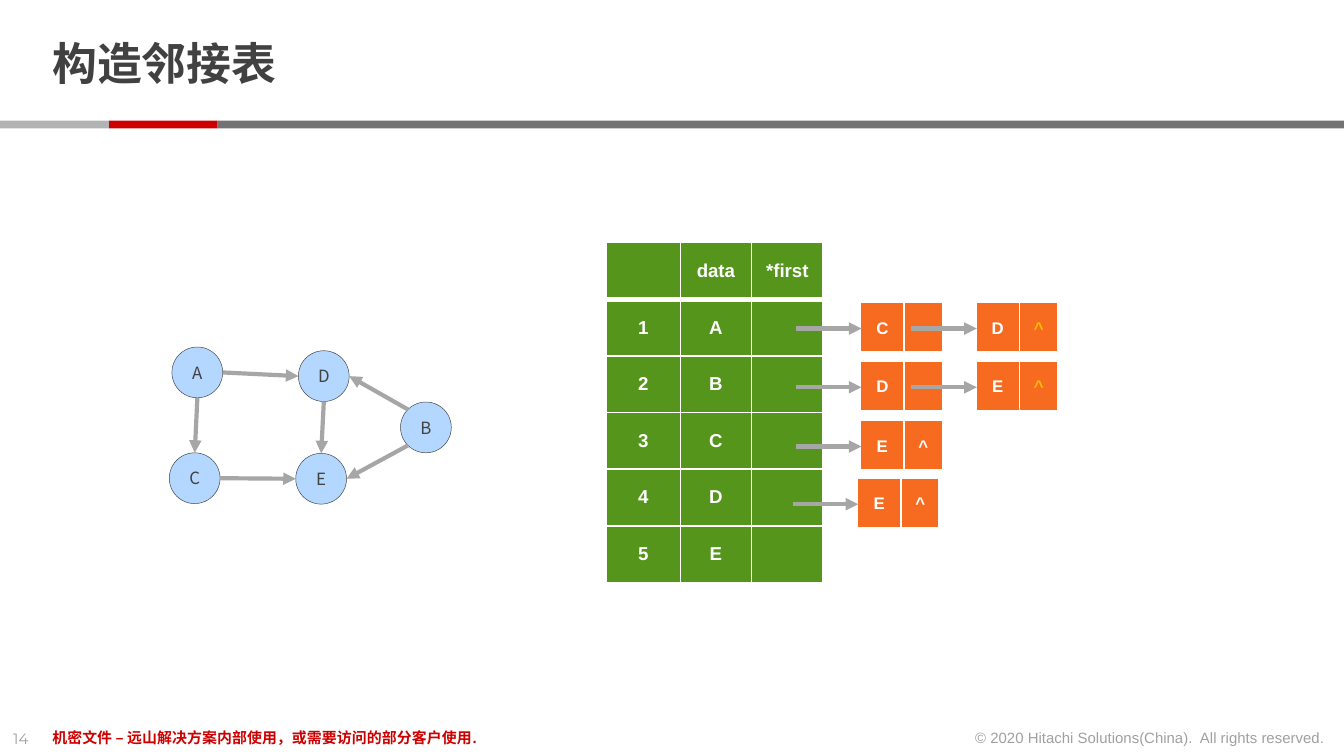
from math import sqrt

from lxml import etree
from pptx import Presentation
from pptx.dml.color import RGBColor
from pptx.enum.shapes import MSO_CONNECTOR, MSO_SHAPE
from pptx.enum.text import MSO_ANCHOR, PP_ALIGN
from pptx.oxml.ns import qn
from pptx.util import Cm, Pt

LEFT, CENTER, RIGHT = PP_ALIGN.LEFT, PP_ALIGN.CENTER, PP_ALIGN.RIGHT
TOP, MIDDLE = MSO_ANCHOR.TOP, MSO_ANCHOR.MIDDLE
RECTANGLE, OVAL = MSO_SHAPE.RECTANGLE, MSO_SHAPE.OVAL
STRAIGHT = MSO_CONNECTOR.STRAIGHT


class Theme:
    ink, muted, white = "414141", "A0A0A0", "FFFFFF"
    dark_bar, red, light_bar = "737373", "CC0000", "B3B3B3"
    green, orange, amber = "55951B", "F66B20", "FFC000"
    node, arrow = "B3D7FF", "A6A6A6"
    title_size, table_size, node_size, footer_size = 24, 10, 9, 8
    heading, body, cjk = "Montserrat", "Arial", "Noto Sans CJK SC"


def add_run(paragraph, text, size, color, font=Theme.body, bold=False):
    run = paragraph.add_run()
    run.text = text
    run.font.size = Pt(size)
    run.font.bold = bold
    run.font.color.rgb = RGBColor.from_string(color)
    run.font.name = font
    east_asian = etree.SubElement(run.font._element, qn("a:ea"))
    east_asian.set("typeface", Theme.cjk)


def add_arrow(x1, y1, x2, y2):
    arrow = slide.shapes.add_connector(STRAIGHT, Cm(x1), Cm(y1), Cm(x2), Cm(y2))
    arrow.line.color.rgb = RGBColor.from_string(Theme.arrow)
    arrow.line.width = Pt(2.25)
    etree.SubElement(arrow.line._get_or_add_ln(), qn("a:tailEnd")).set("type", "triangle")
    etree.SubElement(arrow._element.spPr, qn("a:effectLst"))


prs = Presentation()
prs.slide_width, prs.slide_height = Cm(25.4), Cm(14.29)
slide = prs.slides.add_slide(prs.slide_layouts[6])

# Divider under the title
for left, right, color in [
    (4.11, 25.4, Theme.dark_bar),
    (2.06, 4.11, Theme.red),
    (0, 2.06, Theme.light_bar),
]:
    bar = slide.shapes.add_shape(RECTANGLE, Cm(left), Cm(2.28), Cm(right - left), Cm(0.15))
    bar.shadow.inherit = False
    bar.fill.solid()
    bar.fill.fore_color.rgb = RGBColor.from_string(color)
    bar.line.fill.background()

# Title and footer
for text, x, y, w, h, size, color, font, bold, align, wrap in [
    ("构造邻接表", 0.74, 0.33, 19.58, 1.85,
     Theme.title_size, Theme.ink, Theme.heading, True, LEFT, True),
    ("14", 0, 13.66, 0.86, 0.6,
     Theme.footer_size, Theme.muted, Theme.heading, False, LEFT, False),
    ("机密文件 – 远山解决方案内部使用，或需要访问的部分客户使用.", 0.74, 13.64, 17.12, 0.6,
     Theme.footer_size, Theme.red, Theme.body, True, LEFT, True),
    ("© 2020 Hitachi Solutions(China).\u00a0 All rights reserved.", 18.08, 13.64, 7.21, 0.6,
     Theme.footer_size, Theme.muted, Theme.body, False, RIGHT, False),
]:
    frame = slide.shapes.add_textbox(Cm(x), Cm(y), Cm(w), Cm(h)).text_frame
    frame.word_wrap = wrap
    paragraph = frame.paragraphs[0]
    paragraph.alignment = align
    if size == Theme.title_size:
        frame.vertical_anchor = MIDDLE
        frame.margin_top = frame.margin_bottom = 0
        paragraph.line_spacing = 0.85
    else:
        frame.vertical_anchor = TOP
    add_run(paragraph, text, size, color, font, bold)

# Directed graph
RADIUS = 0.48
centers = {
    "A": (3.73, 7.04),
    "C": (3.68, 9.04),
    "E": (6.07, 9.05),
    "D": (6.12, 7.11),
    "B": (8.05, 8.08),
}
for name, (x, y) in centers.items():
    node = slide.shapes.add_shape(
        OVAL, Cm(x - RADIUS), Cm(y - RADIUS), Cm(2 * RADIUS), Cm(2 * RADIUS))
    node.shadow.inherit = False
    node.fill.solid()
    node.fill.fore_color.rgb = RGBColor.from_string(Theme.node)
    node.line.color.rgb = RGBColor.from_string(Theme.ink)
    node.line.width = Pt(0.25)
    frame = node.text_frame
    frame.margin_left = frame.margin_right = frame.margin_top = frame.margin_bottom = 0
    frame.vertical_anchor = MIDDLE
    frame.paragraphs[0].alignment = CENTER
    add_run(frame.paragraphs[0], name, Theme.node_size, Theme.ink, Theme.cjk)

DIAGONAL = 1 / sqrt(2)
sides = {
    "top": (0, -1), "bottom": (0, 1), "left": (-1, 0), "right": (1, 0),
    "top left": (-DIAGONAL, -DIAGONAL), "bottom left": (-DIAGONAL, DIAGONAL),
}
for start, start_side, end, end_side in [
    ("A", "bottom", "C", "top"),
    ("C", "right", "E", "left"),
    ("A", "right", "D", "left"),
    ("D", "bottom", "E", "top"),
    ("B", "top left", "D", "right"),
    ("B", "bottom left", "E", "right"),
]:
    begin, finish = [
        [c + RADIUS * d for c, d in zip(centers[name], sides[side])]
        for name, side in ((start, start_side), (end, end_side))
    ]
    add_arrow(*begin, *finish)

# Adjacency list: the vertex table, then one small table per list node
vertices = [["", "data", "*first"]] + [[str(i), v, ""] for i, v in enumerate("ABCDE", 1)]
tables = [(11.46, 4.57, [1.4, 1.34, 1.36], [1.09] + [1.07] * 5, vertices,
           Theme.green, Theme.table_size, Theme.white)]
list_nodes = []
for x, y, neighbours in [
    (16.26, 5.72, "CD"),
    (16.26, 6.83, "DE"),
    (16.26, 7.95, "E"),
    (16.2, 9.04, "E"),
]:
    for i, name in enumerate(neighbours):
        left = x + 2.18 * i
        pointer = "^" if i == len(neighbours) - 1 else ""
        caret_color = Theme.amber if i else Theme.white
        list_nodes.append((left, y))
        tables.append((left, y, [0.83, 0.72], [0.97], [[name, pointer]],
                       Theme.orange, Theme.node_size, caret_color))

for x, y, widths, heights, rows, fill, size, caret_color in tables:
    table = slide.shapes.add_table(
        len(heights), len(widths), Cm(x), Cm(y), Cm(sum(widths)), Cm(sum(heights))).table
    table.first_row = table.horz_banding = False
    for column, width in zip(table.columns, widths):
        column.width = Cm(width)
    for r, (height, texts) in enumerate(zip(heights, rows)):
        table.rows[r].height = Cm(height)
        for c, text in enumerate(texts):
            cell = table.cell(r, c)
            cell.margin_left = cell.margin_right = Cm(0.1)
            cell.margin_top = cell.margin_bottom = 0
            cell.vertical_anchor = MIDDLE
            borders = {"L": 1, "R": 1, "T": 3 if r == 1 else 1, "B": 3 if r == 0 else 1}
            for side, points in borders.items():
                border = etree.SubElement(
                    cell._tc.get_or_add_tcPr(), qn(f"a:ln{side}"), w=str(Pt(points)))
                color = etree.SubElement(border, qn("a:solidFill"))
                etree.SubElement(color, qn("a:srgbClr"), val=Theme.white)
            cell.fill.solid()
            cell.fill.fore_color.rgb = RGBColor.from_string(fill)
            if text:
                paragraph = cell.text_frame.paragraphs[0]
                paragraph.alignment = CENTER
                text_color = caret_color if text == "^" else Theme.white
                add_run(paragraph, text, size, text_color, bold=True)

for x, y in list_nodes:
    add_arrow(x - 1.22, y + 0.49, x + 0.02, y + 0.49)

prs.save("out.pptx")
